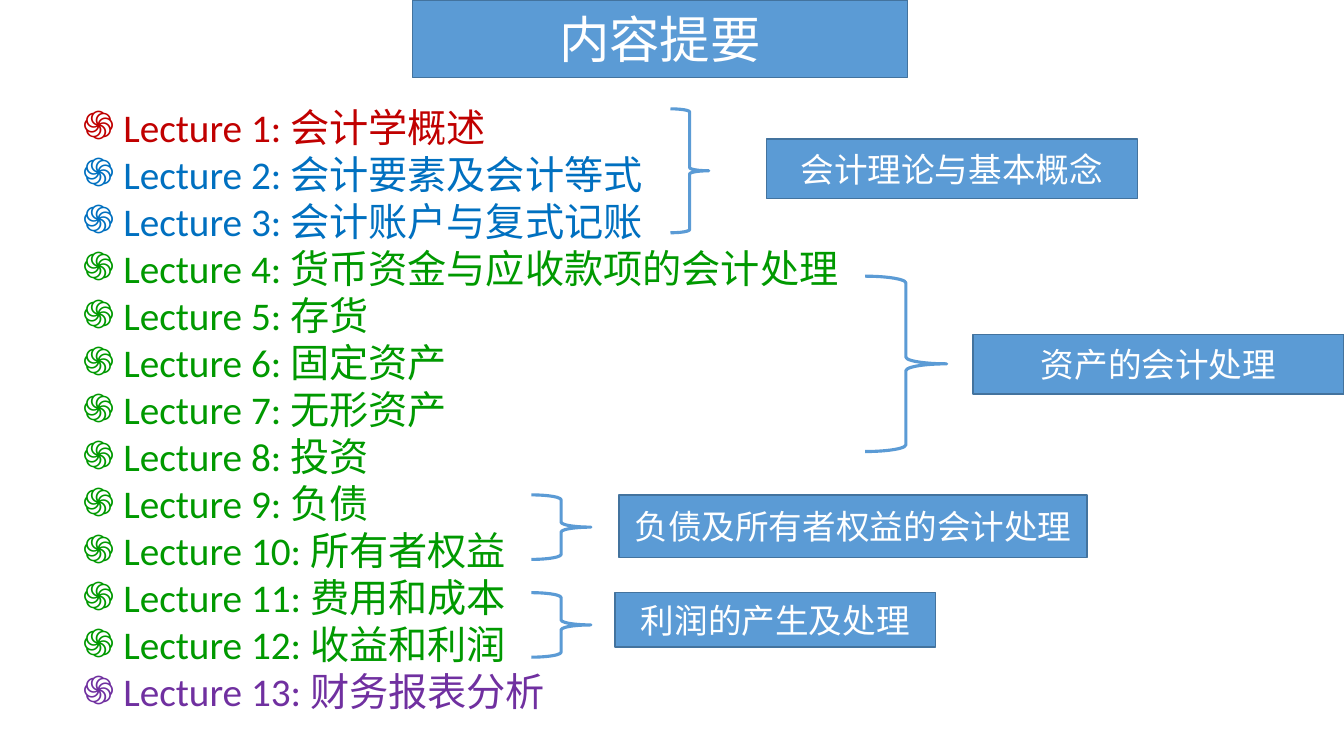
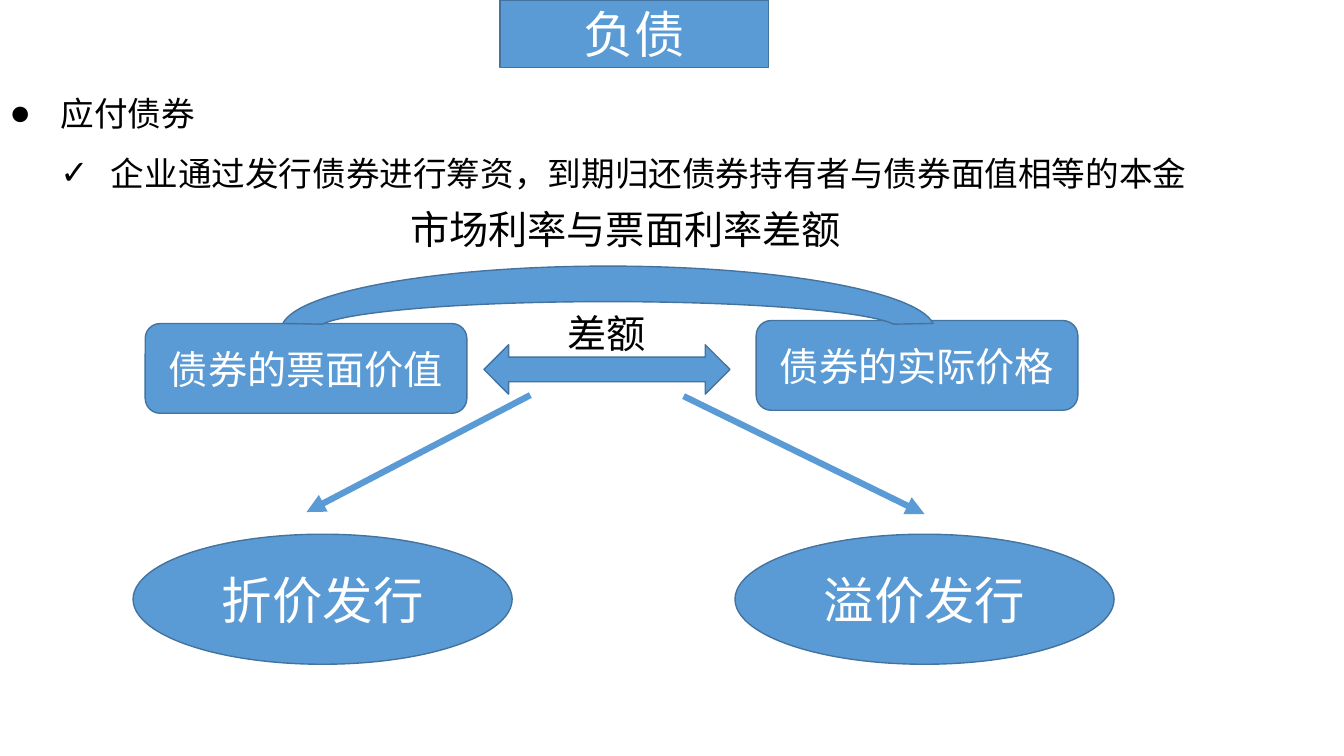
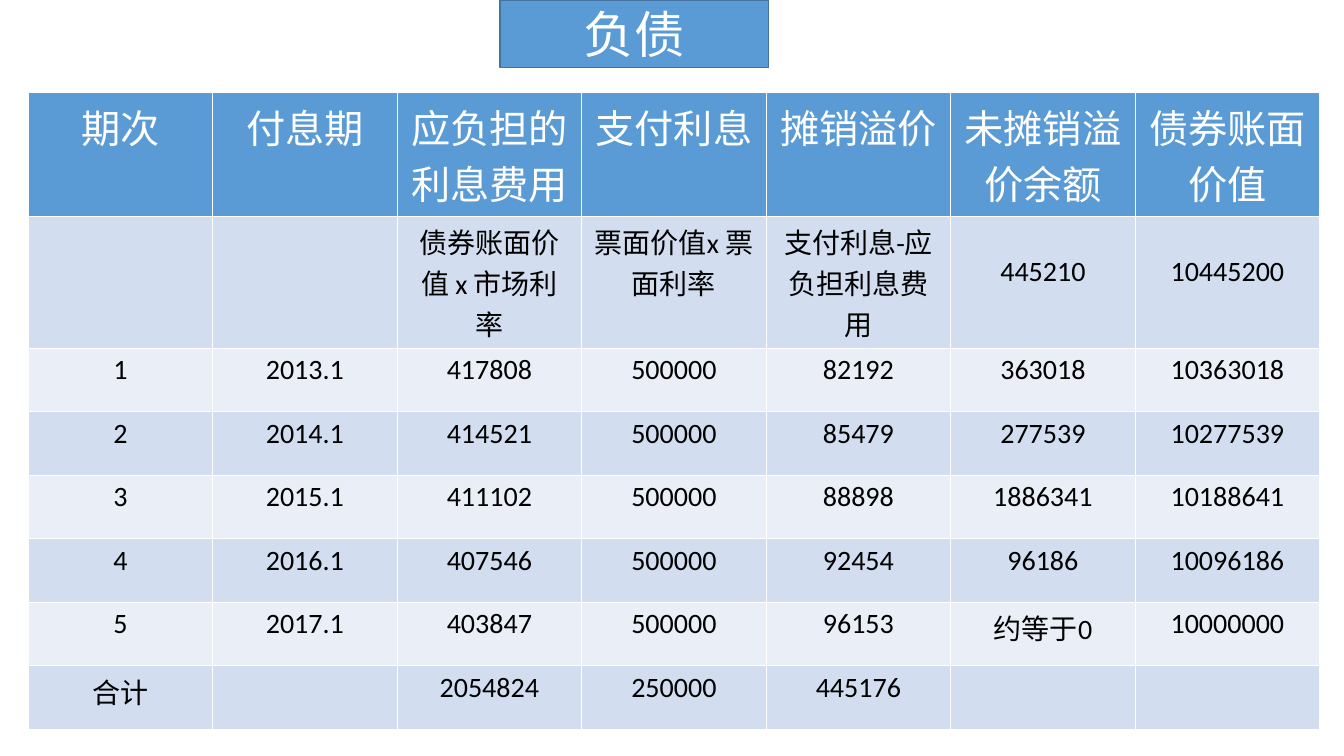
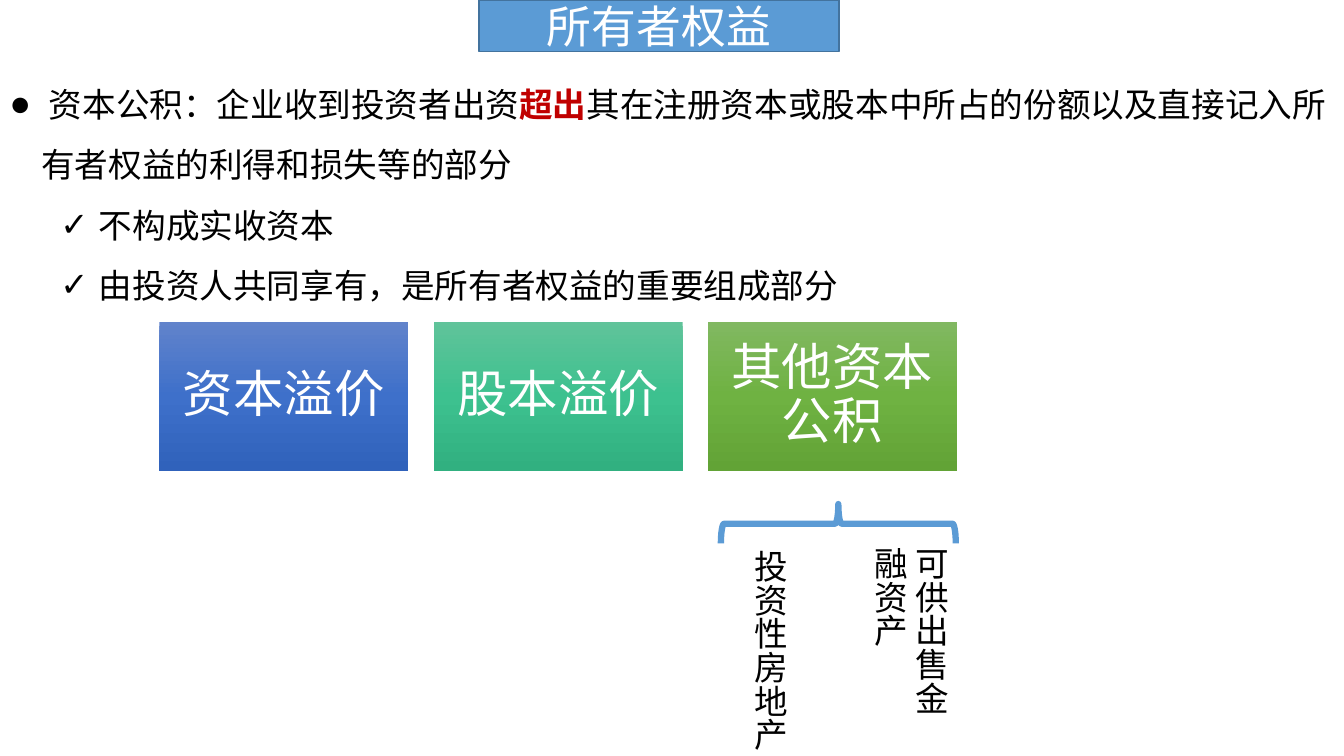
"""Builds four lecture slides on liabilities and owners' equity."""
from copy import deepcopy

from lxml.etree import SubElement
from pptx import Presentation
from pptx.dml.color import RGBColor
from pptx.enum.shapes import MSO_CONNECTOR as Link, MSO_SHAPE as Kind
from pptx.enum.text import MSO_ANCHOR as Anchor, MSO_AUTO_SIZE as Fit, PP_ALIGN as Align
from pptx.oxml.ns import qn
from pptx.util import Inches, Pt

FONT = "Calibri"
BLUE, EDGE, WHITE, BLACK = "5B9BD5", "43739E", "FFFFFF", "000000"
RED, NAVY, GREEN, PURPLE = "C00000", "0070C0", "009900", "7030A0"
BANDS = "D2DEEF", "EAEFF7"
DEBT = ("负债", (4.96, 0, 2.66, 0.67), 36, "roundRect")

TOPICS = [
    ("会计学概述", RED), ("会计要素及会计等式", NAVY), ("会计账户与复式记账", NAVY),
    ("货币资金与应收款项的会计处理", GREEN), ("存货", GREEN), ("固定资产", GREEN),
    ("无形资产", GREEN), ("投资", GREEN), ("负债", GREEN), ("所有者权益", GREEN),
    ("费用和成本", GREEN), ("收益和利润", GREEN), ("财务报表分析", PURPLE),
]
PARTS = [
    ("会计理论与基本概念", (7.6, 1.38, 3.68, 0.59), (6.65, 1.08, 0.38, 1.23)),
    ("资产的会计处理", (9.65, 3.32, 3.68, 0.59), (8.58, 2.74, 0.81, 1.74)),
    ("负债及所有者权益的会计处理", (6.14, 4.91, 4.64, 0.62), (5.27, 4.91, 0.59, 0.64)),
    ("利润的产生及处理", (6.1, 5.88, 3.18, 0.54), (5.27, 5.88, 0.59, 0.64)),
]
BONDS = [
    (0, "●", 0.5, 0.5, [("应付债券", BLACK)]),
    (1, "✓", 1, 0.5, [("企业通过发行债券进行筹资，到期归还债券持有者与债券面值相等的本金", BLACK)]),
]
NODES = [
    (Kind.ROUNDED_RECTANGLE, (1.44, 3.21, 3.19, 0.89), "债券的票面价值", 28),
    (Kind.ROUNDED_RECTANGLE, (7.5, 3.18, 3.19, 0.89), "债券的实际价格", 28),
    (Kind.LEFT_RIGHT_ARROW, (4.8, 3.42, 2.44, 0.49), "", 28),
    (Kind.OVAL, (1.32, 5.3, 3.76, 1.29), "折价发行", 36),
    (Kind.OVAL, (7.29, 5.3, 3.76, 1.29), "溢价发行", 36),
]
ARROWS = [(5.26, 3.92, 3.04, 5.08), (6.78, 3.93, 9.17, 5.1)]
ROWS = [
    ["期次", "付息期", "应负担的利息费用", "支付利息", "摊销溢价", "未摊销溢价余额", "债券账面价值"],
    ["", "", "债券账面价值 x 市场利率", "票面价值x 票面利率", "支付利息-应负担利息费用",
     "445210", "10445200"],
    ["1", "2013.1", "417808", "500000", "82192", "363018", "10363018"],
    ["2", "2014.1", "414521", "500000", "85479", "277539", "10277539"],
    ["3", "2015.1", "411102", "500000", "88898", "1886341", "10188641"],
    ["4", "2016.1", "407546", "500000", "92454", "96186", "10096186"],
    ["5", "2017.1", "403847", "500000", "96153", "约等于0", "10000000"],
    ["合计", "", "2054824", "250000", "445176", "", ""],
]
EQUITY = [
    (0, "●", 0.31, 0.31, [
        (" 资本公积：企业收到投资者出资", BLACK), ("超出", RED),
        ("其在注册资本或股本中所占的份额以及直接记入所有者权益的利得和损失等的部分", BLACK)]),
    (1, "✓", 0.88, 0.38, [("不构成实收资本", BLACK)]),
    (1, "✓", 0.88, 0.38, [("由投资人共同享有，是所有者权益的重要组成部分", BLACK)]),
]
CARDS = [
    ("资本溢价", ("6183CB", "3E70CA", "3062BB")),
    ("股本溢价", ("60C39A", "3DC18F", "31B080")),
    ("其他资本公积", ("81B861", "6FB242", "62A336")),
]
SOURCES = [
    ("投资性房地产", (7.28, 5.36, 0.61, 2.12), False),
    ("可供出售金融资产", (8.47, 5.33, 1.01, 2.17), True),
]


def rgb(code):
    return RGBColor.from_string(code)


def place(shape, at):
    shape.left, shape.top, shape.width, shape.height = map(Inches, at)


def style(para, size, color, align=None):
    para.font.name, para.font.size, para.font.bold = FONT, Pt(size), False
    para.font.color.rgb = rgb(color)
    para.alignment = align


def paint(shape, fill=BLUE, edge=EDGE, width=1):
    if fill:
        shape.fill.solid()
        shape.fill.fore_color.rgb = rgb(fill)
    else:
        shape.fill.background()
    shape.line.color.rgb = rgb(edge)
    shape.line.width = Pt(width)


def label(shape, text, size, color=WHITE, align=Align.CENTER, anchor=Anchor.MIDDLE, wrap=True):
    frame = shape.text_frame
    frame.auto_size, frame.word_wrap, frame.vertical_anchor = Fit.NONE, wrap, anchor
    frame.text = text
    style(frame.paragraphs[0], size, color, align)
    return frame


def start(deck, layout, text, at, size, geom):
    slide = deck.slides.add_slide(deck.slide_layouts[layout])
    title = slide.shapes.title
    place(title, at)
    SubElement(title._element.spPr, qn("a:prstGeom"), prst=geom)
    paint(title)
    label(title, text, size)
    return slide


def bullets(slide, at, items, size, space):
    body = slide.placeholders[1]
    place(body, at)
    frame = body.text_frame
    frame.auto_size = Fit.NONE
    for i, (level, mark, left, hang, runs) in enumerate(items):
        para = frame.add_paragraph() if i else frame.paragraphs[0]
        para.level, para.line_spacing, para.space_before = level, space, Pt(0)
        props = para._p.get_or_add_pPr()
        props.set("marL", str(Inches(left)))
        props.set("indent", str(-Inches(hang)))
        SubElement(props, qn("a:buFont"), typeface=FONT)
        SubElement(props, qn("a:buChar"), char=mark)
        style(para, size, runs[0][1])
        for text, color in runs:
            run = para.add_run()
            run.text = text
            if color != runs[0][1]:
                run.font.color.rgb, run.font.bold = rgb(color), True


def add(slide, kind, at):
    shape = slide.shapes.add_shape(kind, *map(Inches, at))
    shape.shadow.inherit = False
    return shape


def brace(slide, at, width=2.25, turn=0):
    shape = add(slide, Kind.RIGHT_BRACE, at)
    paint(shape, None, BLUE, width)
    shape.rotation = turn


def note(slide, text, at, size, wrap=False):
    box = slide.shapes.add_textbox(*map(Inches, at))
    return label(box, text, size, BLACK, Align.LEFT, Anchor.TOP, wrap)


def arrow(slide, ends):
    line = slide.shapes.add_connector(Link.STRAIGHT, *map(Inches, ends))
    line.line.color.rgb, line.line.width = rgb(BLUE), Pt(4.5)
    SubElement(line.line._get_or_add_ln(), qn("a:tailEnd"), type="triangle")
    SubElement(line._element.spPr, qn("a:effectLst"))


def outline(deck):
    slide = start(deck, 1, "内容提要", (4.09, 0, 4.91, 0.77), 36, "roundRect")
    items = [(0, "֍", 0.31, 0.31, [(f" Lecture {n}: {name}", color)])
             for n, (name, color) in enumerate(TOPICS, 1)]
    bullets(slide, (0.72, 0.97, 11.03, 6.53), items, 28, 1)
    for text, at, span in PARTS:
        brace(slide, span)
        box = add(slide, Kind.RECTANGLE, at)
        paint(box)
        label(box, text, 24)


def issue(deck):
    slide = start(deck, 1, *DEBT)
    bullets(slide, (0, 0.67, 13.18, 1.31), BONDS, 24, 1.5)
    for kind, at, text, size in NODES:
        node = add(slide, kind, at)
        paint(node)
        if text:
            label(node, text, size)
    for ends in ARROWS:
        arrow(slide, ends)
    arc = add(slide, Kind.BLOCK_ARC, (2.79, 2.64, 6.48, 1.26))
    for i, value in enumerate((108.65, 215.35, 0.28)):
        arc.adjustments[i] = value
    paint(arc)
    note(slide, "差额", (5.53, 3.02, 0.99, 0.57), 28)
    note(slide, "市场利率与票面利率差额", (3.97, 1.99, 4.52, 0.57), 28)


def schedule(deck):
    slide = start(deck, 5, *DEBT)
    tall = [1.16, 1.24] + [0.63] * (len(ROWS) - 2)
    size = map(Inches, (0.28, 0.92, 12.81, sum(tall)))
    table = slide.shapes.add_table(len(ROWS), len(ROWS[0]), *size).table
    for r, row in enumerate(ROWS):
        table.rows[r].height = Inches(tall[r])
        for c, text in enumerate(row):
            cell = table.cell(r, c)
            cell.fill.solid()
            cell.fill.fore_color.rgb = rgb(BANDS[(r - 1) % 2] if r else BLUE)
            cell.text = text
            style(cell.text_frame.paragraphs[0], 20 if r else 28,
                  BLACK if r else WHITE, Align.CENTER)
            if r == 1 and text.isdigit():
                cell.margin_top = Inches(0.38)


def equity(deck):
    slide = start(deck, 1, "所有者权益", (4.75, 0, 3.57, 0.51), 32, "rect")
    bullets(slide, (0, 0.58, 13.33, 6.77), EQUITY, 24, 1.5)
    for i, (text, shades) in enumerate(CARDS):
        card = add(slide, Kind.RECTANGLE, (1.58 + i * 2.72, 3.19, 2.47, 1.48))
        card.line.fill.background()
        card.fill.gradient()
        card.fill.gradient_angle = 270
        stops = card._element.spPr.find(qn("a:gradFill")).find(qn("a:gsLst"))
        stops.append(deepcopy(stops[-1]))
        for stop, shade, spot in zip(card.fill.gradient_stops, shades, (0, 0.5, 1)):
            stop.color.rgb, stop.position = rgb(shade), spot
        frame = label(card, text, 36)
        frame.paragraphs[0].line_spacing = 0.9
        frame.margin_left = frame.margin_right = Inches(0.15)
    brace(slide, (8.12, 4.03, 0.39, 2.33), 4.5, 270)
    for text, at, wrap in SOURCES:
        frame = note(slide, text, at, 24, wrap)
        frame._txBody.bodyPr.set("vert", "eaVert")


def main():
    deck = Presentation()
    deck.slide_width, deck.slide_height = Inches(13.33), Inches(7.5)
    for build in (outline, issue, schedule, equity):
        build(deck)
    deck.save("out.pptx")


if __name__ == "__main__":
    main()
